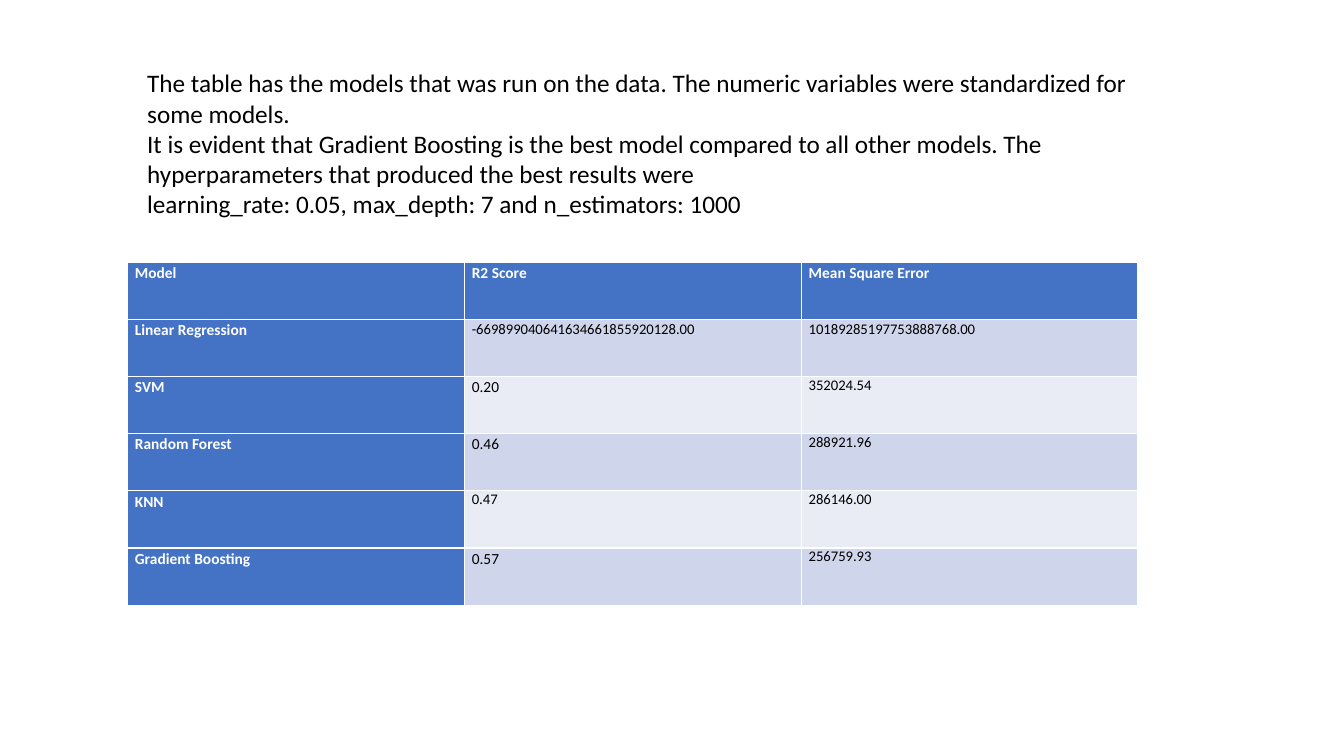
"""Build a slide that compares regression models in a table."""
from pptx import Presentation
from pptx import util as u
from pptx.dml.color import RGBColor
from pptx.enum import text

COLORS = {
    "header": "4472C4",
    "odd_row": "CFD5EA",
    "even_row": "E9EBF5",
    "light": "FFFFFF",
    "dark": "000000",
}
FONT = "Calibri"
SUMMARY = [
    "The table has the models that was run on the data. "
    "The numeric variables were standardized for some models.",
    "It is evident that Gradient Boosting is the best model compared to all other models. "
    "The hyperparameters that produced the best results were",
    "learning_rate: 0.05, max_depth: 7 and n_estimators: 1000",
]
RESULTS = [
    ("Model", "R2 Score", "Mean Square Error"),
    ("Linear Regression", "-669899040641634661855920128.00", "10189285197753888768.00"),
    ("SVM", "0.20", "352024.54"),
    ("Random Forest", "0.46", "288921.96"),
    ("KNN", "0.47", "286146.00"),
    ("Gradient Boosting", "0.57", "256759.93"),
]
SMALL_SCORES = {RESULTS[1][1], "0.47"}
SINGLE_SPACED_SCORES = {"0.47"}


def set_font(paragraph, size, color, bold=False):
    """Set the font of a whole paragraph."""
    font = paragraph.font
    font.name = FONT
    font.size = u.Pt(size)
    font.bold = bold
    font.color.rgb = RGBColor.from_string(COLORS[color])


def add_summary(slide, left, top, width, height):
    """Add the text box that describes the findings."""
    frame = slide.shapes.add_textbox(left, top, width, height).text_frame
    frame.word_wrap = True
    frame.auto_size = text.MSO_AUTO_SIZE.SHAPE_TO_FIT_TEXT
    frame.text = "\n".join(SUMMARY)
    for paragraph in frame.paragraphs:
        set_font(paragraph, 18, "dark")


def fill_cell(cell, row, column, content):
    """Write and style one cell according to its place in the table."""
    is_heading = row == 0 or column == 0
    is_small = column == 2 or content in SMALL_SCORES
    is_single = column == 2 and row > 1 or content in SINGLE_SPACED_SCORES
    band = "odd_row" if row % 2 else "even_row"
    cell.margin_left = cell.margin_right = u.Cm(0.19)
    cell.margin_top = cell.margin_bottom = u.Cm(0)
    cell.fill.solid()
    cell.fill.fore_color.rgb = RGBColor.from_string(COLORS["header" if is_heading else band])
    cell.text = content
    paragraph = cell.text_frame.paragraphs[0]
    paragraph.line_spacing = 1.0 if is_single and not is_heading else 1.07
    size = 10.5 if is_small and not is_heading else 11
    set_font(paragraph, size, "light" if is_heading else "dark", is_heading)


def add_results(slide, left, top, column_width, row_height):
    """Add the table of model scores."""
    rows, columns = len(RESULTS), len(RESULTS[0])
    table = slide.shapes.add_table(
        rows, columns, left, top, column_width * columns, row_height * rows
    ).table
    table.first_col = True
    for row, values in enumerate(RESULTS):
        for column, content in enumerate(values):
            fill_cell(table.cell(row, column), row, column, content)


def main():
    """Create the presentation and save it."""
    presentation = Presentation()
    presentation.slide_width = u.Cm(33.87)
    presentation.slide_height = u.Cm(19.05)
    slide = presentation.slides.add_slide(presentation.slide_layouts[6])
    add_results(slide, u.Cm(3.21), u.Cm(6.61), u.Cm(8.49), u.Cm(1.44))
    add_summary(slide, u.Cm(3.46), u.Cm(1.58), u.Cm(26.51), u.Cm(4.1))
    presentation.save("out.pptx")


if __name__ == "__main__":
    main()
